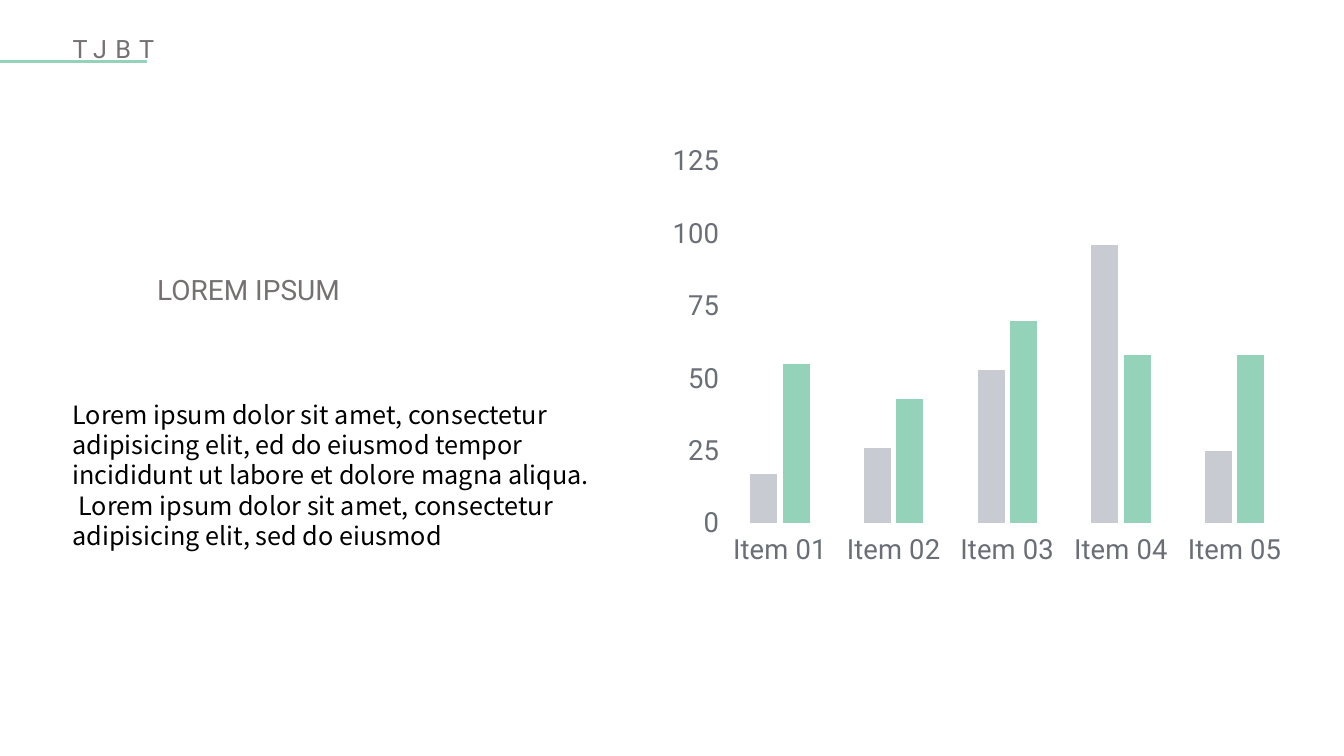
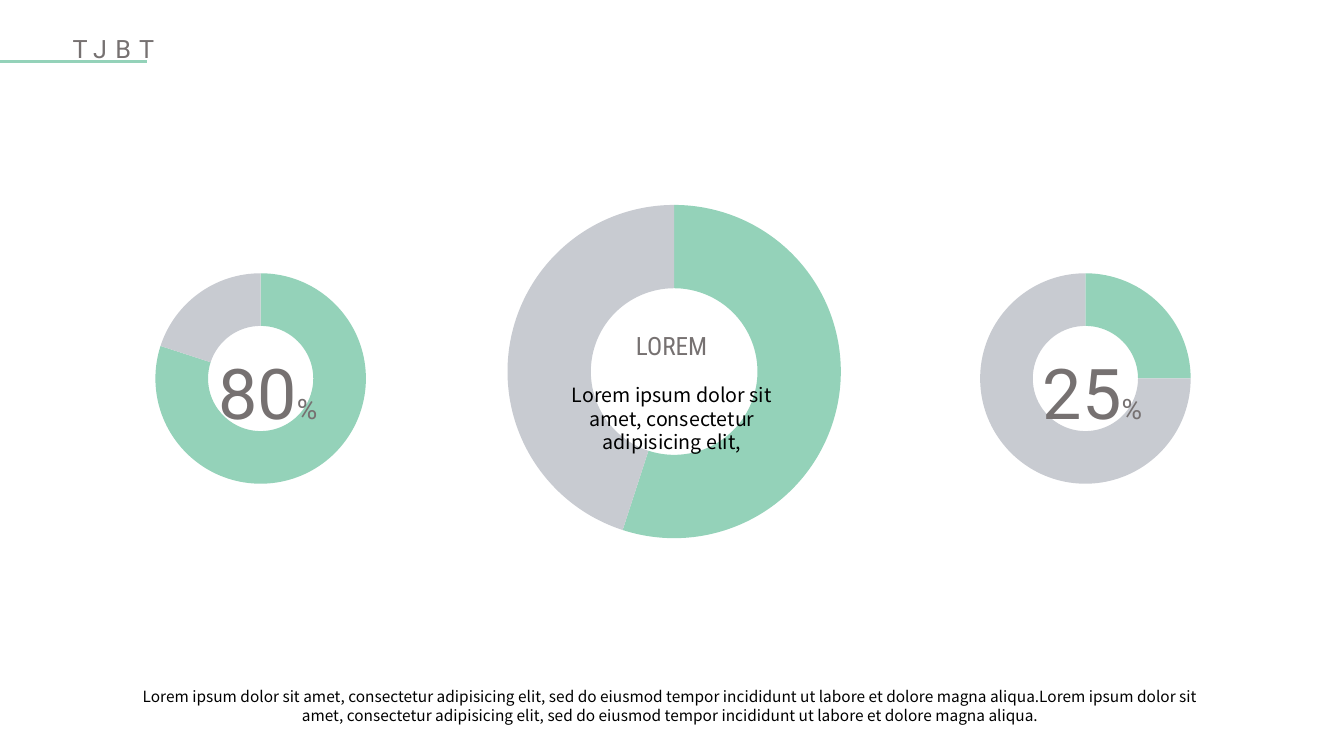
from dataclasses import dataclass

from lxml import etree
from pptx import Presentation
from pptx.chart.data import CategoryChartData
from pptx.dml.color import RGBColor
from pptx.enum.chart import XL_CHART_TYPE as ChartType
from pptx.enum.chart import XL_TICK_LABEL_POSITION as LabelPosition
from pptx.enum.chart import XL_TICK_MARK as TickMark
from pptx.enum.shapes import MSO_CONNECTOR as Connector
from pptx.enum.text import MSO_ANCHOR as Anchor
from pptx.enum.text import MSO_AUTO_SIZE as AutoSize
from pptx.enum.text import PP_ALIGN as Align
from pptx.oxml.ns import qn
from pptx.util import Inches, Pt


@dataclass(frozen=True)
class TextStyle:
    size: float
    color: RGBColor
    font: str


@dataclass(frozen=True)
class Theme:
    green = RGBColor(0x94, 0xD2, 0xB9)
    silver = RGBColor(0xC8, 0xCB, 0xD1)
    grey = RGBColor(0x76, 0x71, 0x71)
    slate = RGBColor(0x6A, 0x6E, 0x77)
    black = RGBColor(0, 0, 0)
    sans = "Noto Sans CJK SC"
    heading = "Roboto"

    title = TextStyle(18, grey, heading)
    subtitle = TextStyle(20, grey, heading)
    body = TextStyle(18, black, sans)
    figure = TextStyle(50, grey, heading)
    unit = TextStyle(20, grey, heading)
    ring_heading = TextStyle(18, grey, "Roboto Condensed")
    ring_text = TextStyle(14, black, sans)
    caption = TextStyle(11, black, sans)
    chart = TextStyle(10, black, sans)
    axis = TextStyle(20, slate, heading)


THEME = Theme()


@dataclass(frozen=True)
class Box:
    """A region of the page, in inches."""
    left: float
    top: float
    width: float
    height: float

    @property
    def lengths(self):
        return [Inches(n) for n in (self.left, self.top, self.width, self.height)]

    def inside(self, left, top, width, height):
        return Box(self.left + left, self.top + top, width, height)


def set_font(font, style):
    font.size, font.name = Pt(style.size), style.font
    font.color.rgb = style.color


def add_span(para, text, style):
    span = para.add_run()
    span.text = text
    set_font(span.font, style)
    return span


def fit_frame(frame):
    frame.word_wrap = True
    frame.vertical_anchor = Anchor.TOP
    frame.auto_size = AutoSize.SHAPE_TO_FIT_TEXT


def place(shape, box):
    shape.left, shape.top, shape.width, shape.height = box.lengths


def add_text(page, box, text, style, align=Align.LEFT):
    frame = page.shapes.add_textbox(*box.lengths).text_frame
    fit_frame(frame)
    para = frame.paragraphs[0]
    para.alignment = align
    add_span(para, text, style)


def add_page(deck, layout, title):
    """Add a slide with the letter-spaced title and the line under it."""
    page = deck.slides.add_slide(deck.slide_layouts.get_by_name(layout))
    heading = page.shapes.title
    place(heading, Box(0.62, 0.28, 2.24, 0.4))
    fit_frame(heading.text_frame)
    para = heading.text_frame.paragraphs[0]
    para.alignment = Align.LEFT
    span = add_span(para, title, THEME.title)
    span.font._element.set("spc", "600")

    line = page.shapes.add_connector(
        Connector.STRAIGHT, 0, Inches(0.61), Inches(1.46), Inches(0.61))
    line.line.color.rgb = THEME.green
    line.line.width = Pt(1.5)
    etree.SubElement(line._element.spPr, qn("a:effectLst"))
    return page


def fill_body(body, box, entries):
    """Fill the body with unbulleted (text, first-line indent) paragraphs."""
    place(body, box)
    frame = body.text_frame
    fit_frame(frame)
    for index, (text, indent) in enumerate(entries):
        para = frame.add_paragraph() if index else frame.paragraphs[0]
        properties = para._p.get_or_add_pPr()
        properties.set("marL", "0")
        properties.set("indent", str(Inches(indent)))
        etree.SubElement(properties, qn("a:buNone"))
        para.space_before = Pt(0)
        add_span(para, text, THEME.body)


def set_plot_area(chart, *fractions):
    """Fix the inner plot area as left, top, width, height fractions."""
    area = chart._chartSpace.chart.plotArea
    for old in area.findall(qn("c:layout")):
        area.remove(old)
    layout = etree.Element(qn("c:layout"))
    manual = etree.SubElement(layout, qn("c:manualLayout"))
    settings = [("layoutTarget", "inner"), ("xMode", "edge"), ("yMode", "edge")]
    settings += zip("xywh", fractions)
    for tag, value in settings:
        etree.SubElement(manual, qn(f"c:{tag}")).set("val", str(value))
    area.insert(0, layout)


def add_plain_chart(page, box, kind, categories, series):
    """Add a chart with neither title, legend nor data labels."""
    data = CategoryChartData()
    data.categories = categories
    for name, values in series.items():
        data.add_series(name, values)
    chart = page.shapes.add_chart(kind, *box.lengths, data).chart
    chart.has_title = chart.has_legend = False
    chart.plots[0].has_data_labels = False
    set_font(chart.font, THEME.chart)
    return chart


def paint(part, color):
    part.format.fill.solid()
    part.format.fill.fore_color.rgb = color
    part.format.line.fill.background()


def add_column_chart(page, box, categories, series):
    chart = add_plain_chart(
        page, box, ChartType.COLUMN_CLUSTERED, categories, series)
    set_plot_area(chart, 0.06, 0.06, 0.93, 0.85)
    plot = chart.plots[0]
    plot.gap_width, plot.overlap = 200, -20
    plot.vary_by_categories = False
    for columns, color in zip(plot.series, (THEME.silver, THEME.green)):
        paint(columns, color)
    for axis in (chart.category_axis, chart.value_axis):
        axis.has_major_gridlines = False
        axis.major_tick_mark = axis.minor_tick_mark = TickMark.NONE
        axis.format.line.fill.background()
        set_font(axis.tick_labels.font, THEME.axis)
    chart.category_axis.tick_label_position = LabelPosition.LOW
    scale = chart.value_axis
    scale.minimum_scale, scale.maximum_scale, scale.major_unit = 0, 125, 25


def add_ring(page, box, percent):
    chart = add_plain_chart(page, box, ChartType.DOUGHNUT, ["1", "2"],
                            {"Series 1": (percent, 100 - percent)})
    set_plot_area(chart, 0.01, 0.01, 0.99, 0.99)
    hole = chart._chartSpace.find(f".//{qn('c:holeSize')}")
    hole.set("val", "90")
    points = chart.plots[0].series[0].points
    for index, color in enumerate((THEME.green, THEME.silver)):
        paint(points[index], color)


def add_percent_ring(page, box, percent):
    add_ring(page, box, percent)
    label = box.inside(0.645, 0.43, 1.03, 1.11)
    frame = page.shapes.add_textbox(*label.lengths).text_frame
    fit_frame(frame)
    frame.word_wrap = False
    frame.vertical_anchor = Anchor.MIDDLE
    frame.margin_left = frame.margin_right = 0
    frame.margin_top = frame.margin_bottom = 0
    para = frame.paragraphs[0]
    para.line_spacing = 1.5
    add_span(para, str(percent), THEME.figure)
    add_span(para, "%", THEME.unit)


def add_text_ring(page, box, percent, heading, text):
    add_ring(page, box, percent)
    add_text(page, box.inside(0.41, 1.75, 2.51, 0.57), text,
             THEME.ring_text, Align.CENTER)
    add_text(page, box.inside(1.21, 1.23, 1.2, 0.4), heading,
             THEME.ring_heading)


def build_column_page(deck):
    page = add_page(deck, "Title and Content", "TJBT")
    add_column_chart(
        page, Box(6.67, 1.35, 6.2, 4.27),
        [f"Item {number:02}" for number in range(1, 6)],
        {"Series 1": (17, 26, 53, 96, 25), "Series 2": (55, 43, 70, 58, 58)})
    add_text(page, Box(1.46, 2.65, 3, 0.44), "LOREM IPSUM", THEME.subtitle)
    fill_body(page.placeholders[1], Box(0.62, 3.91, 5.37, 1.62), [
        ("Lorem ipsum dolor sit amet, consectetur adipisicing elit, ed do "
         "eiusmod tempor incididunt ut labore et dolore magna aliqua.", 0),
        ("Lorem ipsum dolor sit amet, consectetur adipisicing elit, sed do "
         "eiusmod", 0.06),
    ])


def build_ring_page(deck):
    page = add_page(deck, "Title Only", "TJBT")
    for left, percent in ((1.52, 80), (9.7, 25)):
        add_percent_ring(page, Box(left, 2.69, 2.11, 2.11), percent)
    add_text_ring(page, Box(5, 2, 3.34, 3.34), 55, "LOREM",
                  "Lorem ipsum dolor sit amet, consectetur adipisicing elit,")
    sentence = ("Lorem ipsum dolor sit amet, consectetur adipisicing elit, sed do "
                "eiusmod tempor incididunt ut labore et dolore magna aliqua.")
    add_text(page, Box(1.15, 6.77, 11, 0.47), sentence * 2,
             THEME.caption, Align.CENTER)


def main():
    deck = Presentation()
    deck.slide_width, deck.slide_height = Inches(13.33), Inches(7.5)
    build_column_page(deck)
    build_ring_page(deck)
    deck.save("out.pptx")


if __name__ == "__main__":
    main()
